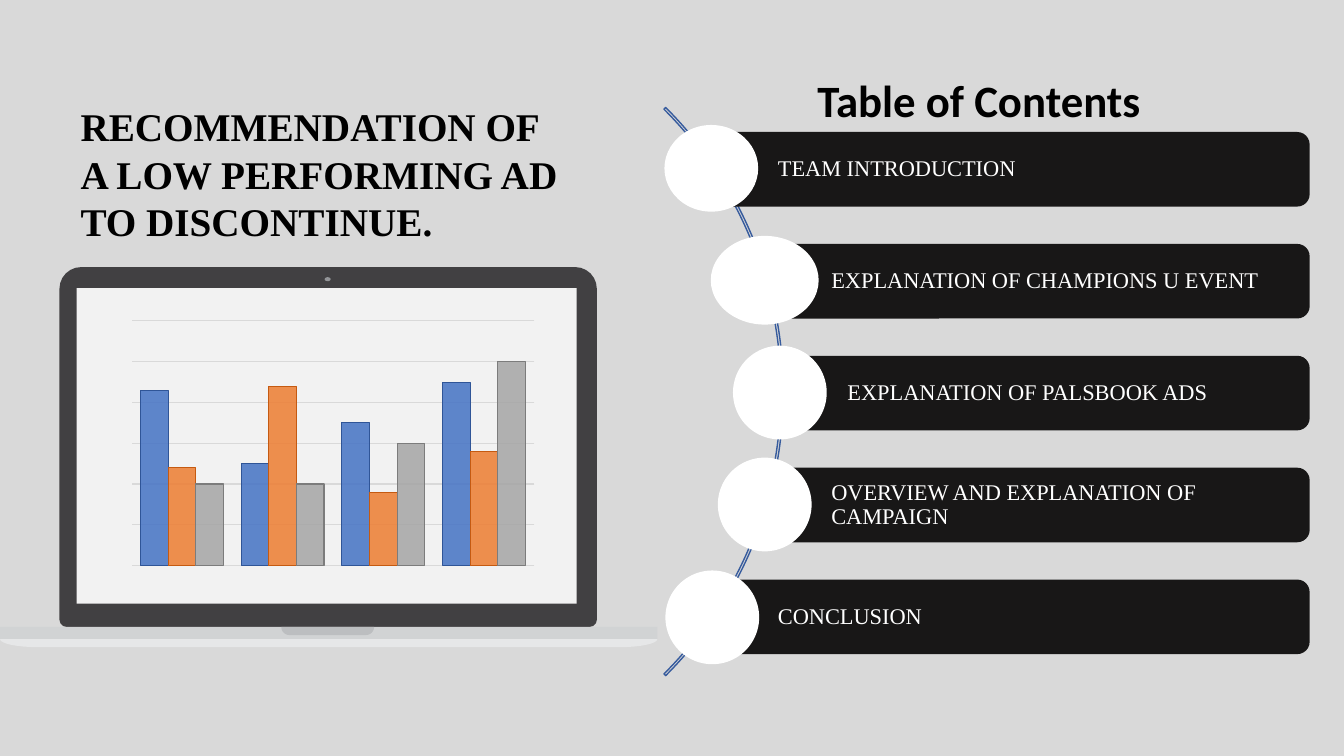
from math import cos, pi, sin

from lxml import etree
from pptx import Presentation
from pptx.chart.data import CategoryChartData
from pptx.dml.color import RGBColor
from pptx.enum.chart import XL_CHART_TYPE
from pptx.enum.shapes import MSO_SHAPE
from pptx.enum.text import MSO_ANCHOR, PP_ALIGN
from pptx.oxml.ns import qn
from pptx.util import Inches, Pt

RECT, OVAL = MSO_SHAPE.RECTANGLE, MSO_SHAPE.OVAL
ROUND, ARC = MSO_SHAPE.ROUNDED_RECTANGLE, MSO_SHAPE.BLOCK_ARC
LID = MSO_SHAPE.ROUND_2_SAME_RECTANGLE
MIDDLE, BOTTOM = MSO_ANCHOR.MIDDLE, MSO_ANCHOR.BOTTOM
CENTER, LEFT = PP_ALIGN.CENTER, PP_ALIGN.LEFT
COLUMNS = XL_CHART_TYPE.COLUMN_CLUSTERED
SERIF = "Times New Roman"


def paint(target, color):
    """Give a fill, or a line's fill, a solid hex colour."""
    target.solid()
    target.fore_color.rgb = RGBColor.from_string(color)


def draw(kind, box, color=None):
    """Add a flat preset shape; without a colour it is left unfilled."""
    shape = slide.shapes.add_shape(kind, *map(Inches, box))
    shape.shadow.inherit = False
    shape.line.fill.background()
    if color:
        paint(shape.fill, color)
    else:
        shape.fill.background()
    return shape


prs = Presentation()
prs.slide_width, prs.slide_height = Inches(13.33), Inches(7.5)
slide = prs.slides.add_slide(prs.slide_layouts[5])
paint(slide.background.fill, "D9D9D9")

# Contents list along the arc
arc = draw(ARC, (-0.2, -0.1, 7.97, 7.97))
arc.adjustments[0], arc.adjustments[1], arc.adjustments[2] = 189, 27, 0.003
paint(arc.line.fill, "365B9D")
arc.line.width = Pt(1)

topics = [
    ("TEAM INTRODUCTION", 7.06, (6.59, 1.24, 0.93, 0.86)),
    ("EXPLANATION OF CHAMPIONS U EVENT", 7.59, (7.05, 2.34, 1.07, 0.88)),
    ("EXPLANATION OF PALSBOOK ADS", 7.75, (7.27, 3.43, 0.93, 0.93)),
    ("OVERVIEW AND EXPLANATION OF CAMPAIGN", 7.59, (7.12, 4.54, 0.93, 0.93)),
    ("CONCLUSION", 7.06, (6.6, 5.66, 0.93, 0.93)),
]
for i, (topic, left, dot) in enumerate(topics):
    bar = draw(ROUND, (left, 1.31 + 1.11 * i, 12.99 - left, 0.74), "181717")
    frame = bar.text_frame
    frame.text = topic
    frame.vertical_anchor = MIDDLE
    frame.margin_left, frame.margin_right = Inches(0.62), Inches(0.08)
    para = frame.paragraphs[0]
    para.alignment = LEFT
    para.line_spacing = 0.9
    para.font.name, para.font.size = SERIF, Pt(16)
    para.font.color.rgb = RGBColor.from_string("FFFFFF")
    draw(OVAL, dot, "FFFFFF")

# Laptop
lid = draw(LID, (0.59, 2.65, 5.33, 3.57), "414042")
lid.adjustments[0], lid.adjustments[1] = 0.06, 0.02
draw(RECT, (0.76, 2.86, 4.96, 3.13), "F2F2F2")
draw(RECT, (0, 6.22, 6.52, 0.12), "D1D3D4")
draw(OVAL, (3.22, 2.75, 0.06, 0.04), "939598")

# Notch and front lip: flat top, rounded lower corners
for left, top, width, curve, color in [
    (2.79, 6.22, 0.92, 0.08, "BCBEC0"),
    (0, 6.34, 6.52, 0.37, "E6E7E8"),
]:
    turns = [pi / 2 * n / 8 for n in range(9)]
    edge = [(curve * (1 - cos(t)), 0.08 * sin(t)) for t in turns]
    edge += [(width - x, y) for x, y in reversed(edge)]
    points = [(Inches(left + x), Inches(top + y)) for x, y in edge]
    pen = slide.shapes.build_freeform(*points[0])
    pen.add_line_segments(points[1:], close=True)
    tray = pen.convert_to_shape()
    tray.shadow.inherit = False
    paint(tray.fill, color)
    tray.line.fill.background()

# Chart on the screen
data = CategoryChartData()
data.categories = ["1", "2", "3", "4"]
data.add_series("Series 1", (86, 50, 70, 90))
data.add_series("Series 2", (48, 88, 36, 56))
data.add_series("Series 3", (40, 40, 60, 100))
box = map(Inches, (0.99, 2.99, 4.49, 2.76))
chart = slide.shapes.add_chart(COLUMNS, *box, data).chart
chart.has_legend = chart.has_title = False
chart.font.name, chart.font.size = "Calibri", Pt(10)
chart.font.color.rgb = RGBColor.from_string("000000")
chart.category_axis.visible = False
scale = chart.value_axis
scale.visible = False
scale.minimum_scale, scale.maximum_scale, scale.major_unit = 0, 120, 20
grid = scale.major_gridlines.format.line
paint(grid.fill, "D9D9D9")
grid.width = Pt(0.75)

plot = chart.plots[0]
plot.gap_width, plot.overlap = 65, 0
plot.vary_by_categories = False
tints = [("4472C4", "2F5597"), ("ED7D31", "C55A11"), ("A5A5A5", "7C7C7C")]
for series, (fill, line) in zip(plot.series, tints):
    paint(series.format.fill, fill)
    paint(series.format.line.fill, line)
    series.format.line.width = Pt(0.75)
    tint = series._element.spPr.find(qn("a:solidFill"))[0]
    etree.SubElement(tint, qn("a:alpha"), val="85000")

area = chart._chartSpace.chart.plotArea
for old in area.findall(qn("c:layout")):
    area.remove(old)
layout = etree.Element(qn("c:layout"))
area.insert(0, layout)
manual = etree.SubElement(layout, qn("c:manualLayout"))
for tag, val in [
    ("layoutTarget", "inner"), ("xMode", "edge"), ("yMode", "edge"),
    ("x", "0.07"), ("y", "0.07"), ("w", "0.89"), ("h", "0.88"),
]:
    etree.SubElement(manual, qn("c:" + tag), val=val)

# Headings
title = slide.shapes.title
title.left, title.top = Inches(6.97), Inches(0.52)
title.width, title.height = Inches(5.48), Inches(0.79)
title.text_frame.vertical_anchor = BOTTOM
note = slide.shapes.add_textbox(*map(Inches, (0.7, 0.97, 5.01, 1.51)))
for shape, words, face, size, align, space in [
    (title, "Table of Contents", "Calibri", 32, CENTER, 0.9),
    (note, "RECOMMENDATION OF A LOW PERFORMING AD TO DISCONTINUE.",
     SERIF, 28, LEFT, 1.0),
]:
    shape.text_frame.text = words
    shape.text_frame.word_wrap = True
    para = shape.text_frame.paragraphs[0]
    para.alignment, para.line_spacing = align, space
    para.font.name, para.font.size, para.font.bold = face, Pt(size), True
    para.font.color.rgb = RGBColor.from_string("000000")

prs.save("out.pptx")
